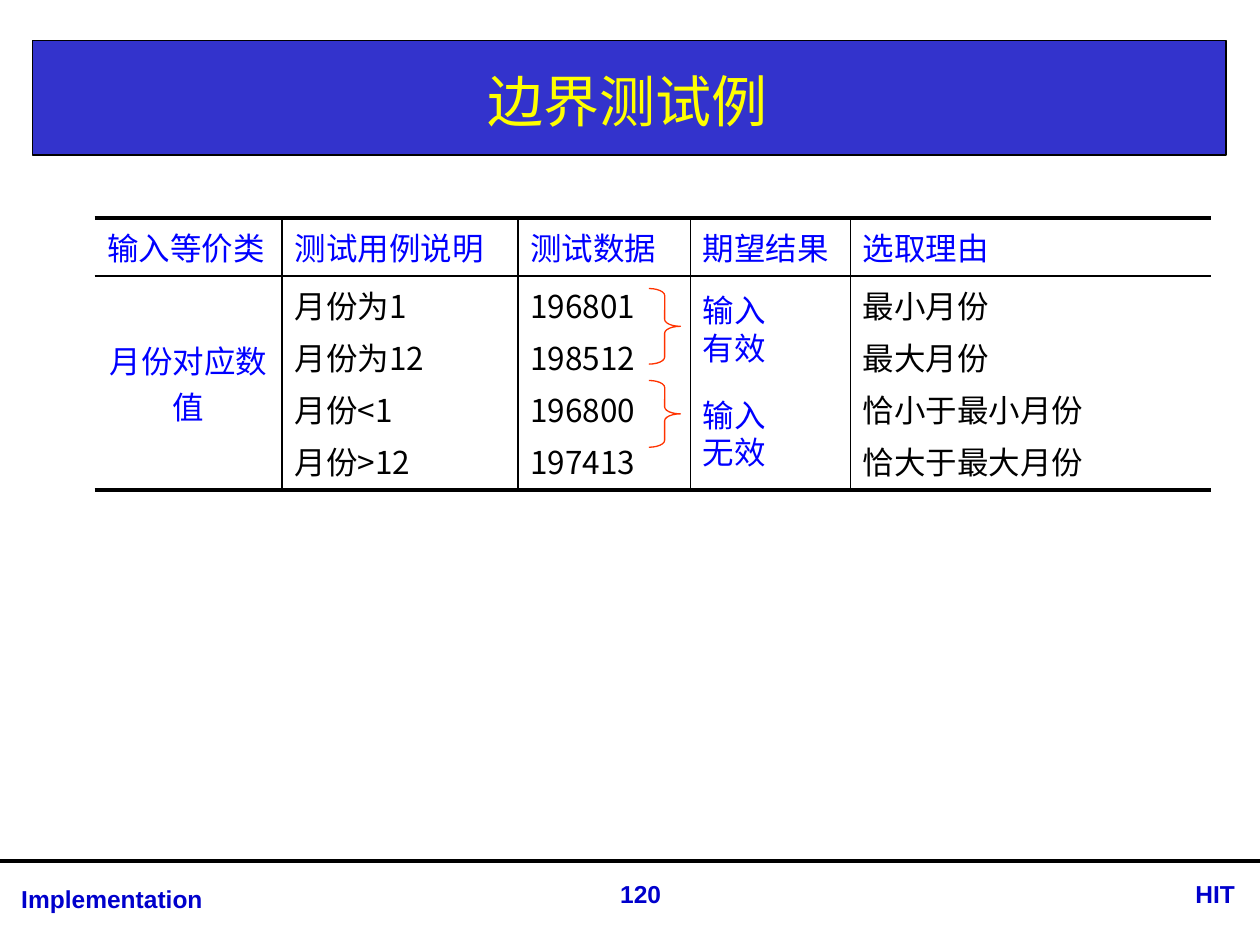
from pptx import Presentation
from pptx.dml.color import RGBColor
from pptx.enum.shapes import MSO_CONNECTOR, MSO_SHAPE
from pptx.enum.text import MSO_ANCHOR, PP_ALIGN
from pptx.oxml.ns import qn
from pptx.util import Inches, Pt
from lxml import etree

LEFT, CENTER, RIGHT = PP_ALIGN.LEFT, PP_ALIGN.CENTER, PP_ALIGN.RIGHT
TOP, MIDDLE = MSO_ANCHOR.TOP, MSO_ANCHOR.MIDDLE
CJK, LATIN = "Noto Sans CJK SC", "Arial"
COLORS = {"banner": "3333CC", "title": "FFFF00", "footer": "0000CC", "label": "0000FF",
          "ink": "000000", "brace": "FF3300", "paper": "FFFFFF"}

# Content
TITLE = "边界测试例"
HEADERS = ["输入等价类", "测试用例说明", "测试数据", "期望结果", "选取理由"]
BODY = [
    ["月份对应数值"],
    ["月份为1", "月份为12", "月份<1", "月份>12"],
    ["196801", "198512", "196800", "197413"],
    [],
    ["最小月份", "最大月份", "恰小于最小月份", "恰大于最大月份"],
]
COL_WIDTHS = [1.49, 1.87, 1.37, 1.27, 2.86]
ROW_HEIGHTS = [0.46, 1.7]
# text, text top, text width, brace top, brace height
RESULTS = [("输入有效", 2.26, 0.75, 2.29, 0.6), ("输入无效", 3.09, 0.83, 3.02, 0.53)]
# text, left, top, width, alignment
FOOTERS = [("Implementation", 0.07, 6.97, 3.85, LEFT), ("120", 4.57, 6.93, 1.03, CENTER),
           ("HIT", 8.87, 6.93, 1.03, RIGHT)]


def rgb(name):
    return RGBColor.from_string(COLORS[name])


def write(tf, lines, size=18, font=CJK, color="ink", bold=False, align=LEFT,
          gap=0, spacing=None):
    tf.word_wrap = True
    for i, line in enumerate(lines):
        p = tf.add_paragraph() if i else tf.paragraphs[0]
        p.alignment = align
        p.space_before = Pt(gap if i else 0)
        if spacing:
            p.line_spacing = Pt(spacing)
        r = p.add_run()
        r.text = line
        r.font.size, r.font.bold, r.font.name = Pt(size), bold, font
        r.font.color.rgb = rgb(color)
        etree.SubElement(r.font._element, qn("a:ea"), typeface=font)


def add_text(s, text, left, top, width, height, **fmt):
    box = s.shapes.add_textbox(Inches(left), Inches(top), Inches(width), Inches(height))
    write(box.text_frame, [text], **fmt)


def add_shape(s, kind, left, top, width, height, line, fill=None):
    sp = s.shapes.add_shape(kind, Inches(left), Inches(top), Inches(width), Inches(height))
    sp.shadow.inherit = False
    if fill:
        sp.fill.solid()
        sp.fill.fore_color.rgb = rgb(fill)
    else:
        sp.fill.background()
    sp.line.color.rgb, sp.line.width = rgb(line), Pt(0.75)
    return sp


def set_borders(cell, **widths):
    tcPr = cell._tc.get_or_add_tcPr()
    for side in "LRTB":
        width = widths[side]
        ln = etree.SubElement(tcPr, qn("a:ln" + side), w=str(Pt(width)))
        if width:
            fill = etree.SubElement(ln, qn("a:solidFill"))
            etree.SubElement(fill, qn("a:srgbClr"), val=COLORS["ink"])
        else:
            etree.SubElement(ln, qn("a:noFill"))


def add_table(s):
    rows, cols = len(ROW_HEIGHTS), len(COL_WIDTHS)
    table = s.shapes.add_table(rows, cols, Inches(0.75), Inches(1.73),
                               Inches(sum(COL_WIDTHS)), Inches(sum(ROW_HEIGHTS))).table
    table.first_row = table.horz_banding = False
    for column, width in zip(table.columns, COL_WIDTHS):
        column.width = Inches(width)
    for row, height in zip(table.rows, ROW_HEIGHTS):
        row.height = Inches(height)

    for c in range(cols):
        for r, lines in enumerate(([HEADERS[c]], BODY[c])):
            cell = table.cell(r, c)
            header, category = r == 0, r == 1 and c == 0
            # Heavy rules above and below, thin rules inside, open sides
            set_borders(cell, L=1 if c else 0, R=1 if c < cols - 1 else 0,
                        T=2.25 if header else 1, B=1 if header else 2.25)
            if header:
                cell.fill.solid()
                cell.fill.fore_color.rgb = rgb("paper")
            else:
                cell.fill.background()
            cell.vertical_anchor = MIDDLE if category else TOP
            write(cell.text_frame, lines, gap=3.6, align=CENTER if category else LEFT,
                  color="label" if header or category else "ink")


def main():
    prs = Presentation()
    prs.slide_width, prs.slide_height = Inches(10), Inches(7.5)
    s = prs.slides.add_slide(prs.slide_layouts[5])

    # Title on its banner
    add_shape(s, MSO_SHAPE.RECTANGLE, 0.26, 0.32, 9.47, 0.91, "ink", "banner")
    title = s.shapes.title
    title.left, title.top = Inches(0.26), Inches(0.36)
    title.width, title.height = Inches(9.45), Inches(0.87)
    title.text_frame.vertical_anchor = MIDDLE
    write(title.text_frame, [TITLE], size=32, color="title", align=CENTER)
    s.shapes.element.append(title.element)  # bring in front of the banner

    # Footer
    rule = s.shapes.add_connector(MSO_CONNECTOR.STRAIGHT, Inches(0), Inches(6.83),
                                  Inches(10), Inches(6.83))
    rule.line.color.rgb, rule.line.width = rgb("ink"), Pt(2.25)
    etree.SubElement(rule.element.spPr, qn("a:effectLst"))
    for text, left, top, width, align in FOOTERS:
        add_text(s, text, left, top, width, 0.34, size=14, font=LATIN,
                 color="footer", bold=True, align=align)

    # Test cases, with braces grouping the expected results
    add_table(s)
    for text, top, width, brace_top, brace_height in RESULTS:
        add_text(s, text, 5.48, top, width, 0.7, color="label", spacing=21.6)
        brace = add_shape(s, MSO_SHAPE.RIGHT_BRACE, 5.15, brace_top, 0.25, brace_height, "brace")
        brace.adjustments[0], brace.adjustments[1] = 0.22, 0.5

    prs.save("out.pptx")


if __name__ == "__main__":
    main()
